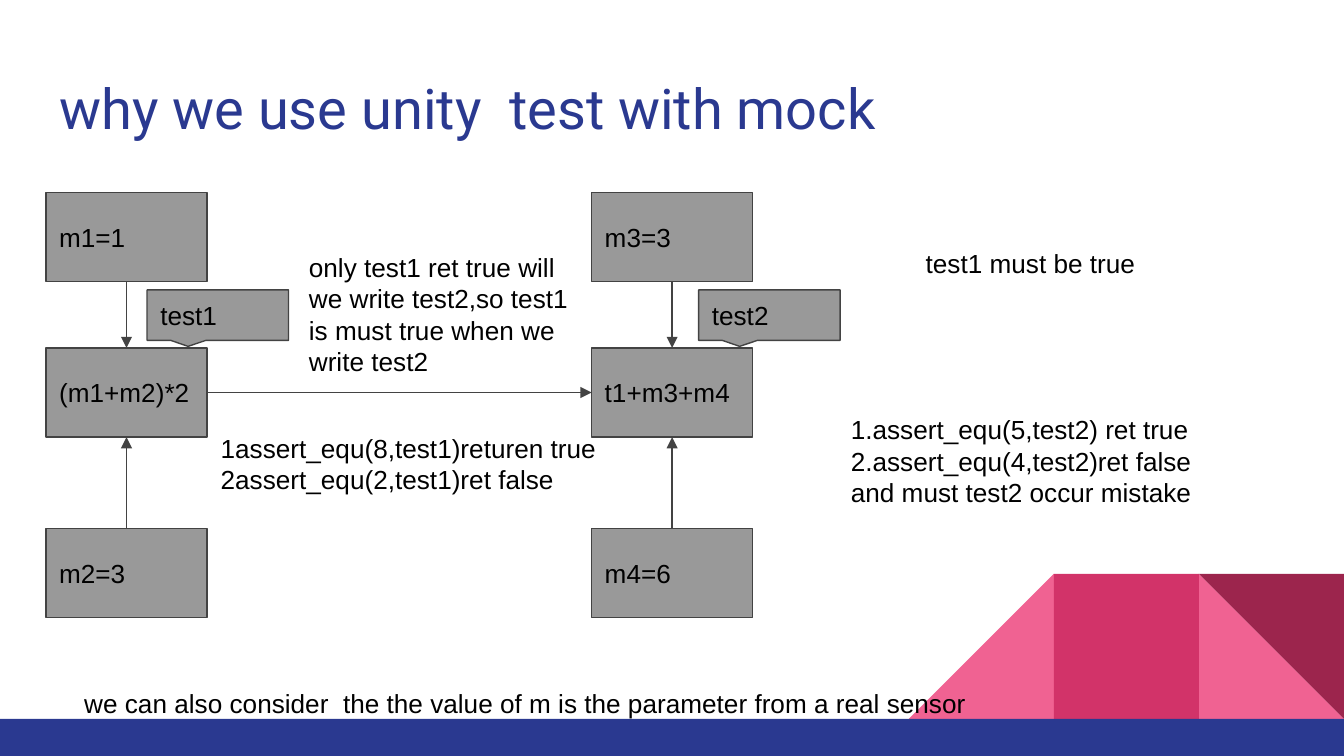
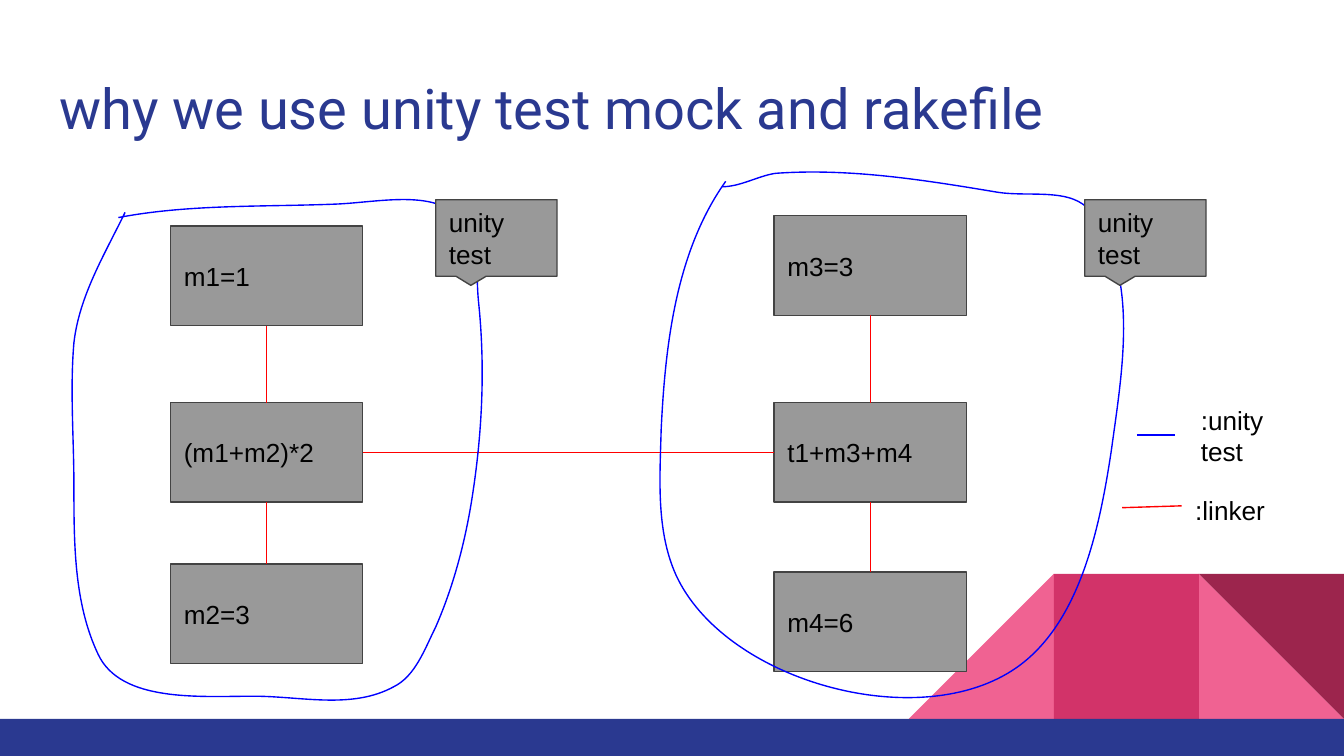
import lxml.etree
import pptx
import pptx.dml.color
import pptx.enum.shapes
import pptx.enum.text
import pptx.oxml.ns
import pptx.util

Pt = pptx.util.Pt
qn = pptx.oxml.ns.qn
SHAPE = pptx.enum.shapes.MSO_SHAPE
ANCHOR = pptx.enum.text.MSO_ANCHOR
RGB = pptx.dml.color.RGBColor.from_string
COLORS = {
    "navy": "2A3990", "pink": "F06292", "rose": "D23369", "wine": "9C254D",
    "box": "999999", "outline": "434343", "text": "000000",
    "linker": "FF0000", "unity": "0000FF",
}
LINE_WIDTH = 0.75


def add_text(s, text, x, y, w, h, kind=None, fill=None, line=None, rotation=0,
             adjustments=(), size=14, font="Arial", color="text"):
    """Add a text box, or a preset shape when a kind is given."""
    box = [Pt(v) for v in (x, y, w, h)]
    if kind is None:
        sp = s.shapes.add_textbox(*box)
    else:
        sp = s.shapes.add_shape(kind, *box)
        sp.shadow.inherit = False
        sp.rotation = rotation
        for i, value in enumerate(adjustments):
            sp.adjustments[i] = value
        sp.fill.solid()
        sp.fill.fore_color.rgb = RGB(COLORS[fill])
        if line:
            sp.line.color.rgb = RGB(COLORS[line])
            sp.line.width = Pt(LINE_WIDTH)
        else:
            sp.line.fill.background()
    tf = sp.text_frame
    tf.word_wrap = True
    tf.vertical_anchor = ANCHOR.TOP if kind is None else ANCHOR.MIDDLE
    tf.margin_left = tf.margin_right = tf.margin_top = tf.margin_bottom = Pt(7.2)
    for i, words in enumerate(text.split("\n") if text else []):
        p = tf.paragraphs[0] if i == 0 else tf.add_paragraph()
        p.alignment = pptx.enum.text.PP_ALIGN.LEFT
        r = p.add_run()
        r.text = words
        r.font.size = Pt(size)
        r.font.name = font
        r.font.color.rgb = RGB(COLORS[color])


def add_line(s, x1, y1, x2, y2, color, arrow=False):
    cn = s.shapes.add_connector(pptx.enum.shapes.MSO_CONNECTOR.STRAIGHT,
                                Pt(x1), Pt(y1), Pt(x2), Pt(y2))
    cn.line.color.rgb = RGB(COLORS[color])
    cn.line.width = Pt(LINE_WIDTH)
    if arrow:
        lxml.etree.SubElement(cn.line._get_or_add_ln(), qn("a:tailEnd"), type="triangle")
    lxml.etree.SubElement(cn.element.spPr, qn("a:effectLst"))


prs = pptx.Presentation()
prs.slide_width, prs.slide_height = Pt(720), Pt(405)

# Shared decoration and title
TILE, BAND_TOP = 77.7, 385.1
tiles = [  # kind, colour, rotation, tiles from the right edge
    (SHAPE.RIGHT_TRIANGLE, "pink", 0, 1),
    (SHAPE.RIGHT_TRIANGLE, "pink", 270, 3),
    (SHAPE.RECTANGLE, "rose", 0, 2),
    (SHAPE.RIGHT_TRIANGLE, "wine", 180, 1),
]
for title in ("why we use unity  test with mock",
              "why we use unity test mock and rakefile"):
    s = prs.slides.add_slide(prs.slide_layouts[6])
    for kind, fill, rotation, place in tiles:
        add_text(s, "", 720 - place * TILE, BAND_TOP - TILE, TILE, TILE,
                 kind=kind, fill=fill, rotation=rotation)
    add_text(s, "", 0, BAND_TOP, 720, 405 - BAND_TOP,
             kind=SHAPE.RECTANGLE, fill="navy")
    add_text(s, title, 24.7, 32.4, 671, 47.5, size=30, font="Roboto", color="navy")

mock_slide, rakefile_slide = prs.slides
names = [("m1=1", "(m1+m2)*2", "m2=3"), ("m3=3", "t1+m3+m4", "m4=6")]
boxed = {"fill": "box", "line": "outline"}

# Mock slide: two columns of boxes, inputs pointing at the middle box
s = mock_slide
w, h = 86.4, 47.8
lefts, tops = (24.6, 316.9), (103.2, 186.4, 283.1)
for x, column in zip(lefts, names):
    for y, name in zip(tops, column):
        add_text(s, name, x, y, w, h, kind=SHAPE.RECTANGLE, **boxed)
    add_line(s, x + w / 2, tops[0] + h, x + w / 2, tops[1], "outline", arrow=True)
    add_line(s, x + w / 2, tops[2], x + w / 2, tops[1] + h, "outline", arrow=True)
add_line(s, lefts[0] + w, tops[1] + h / 2, lefts[1], tops[1] + h / 2,
         "outline", arrow=True)

for name, x in (("test1", 78.8), ("test2", 374.3)):
    add_text(s, name, x, 155.3, 75.8, 27, kind=SHAPE.RECTANGULAR_CALLOUT,
             adjustments=(-0.21, 0.62), **boxed)

# Mock slide: remarks
remarks = [
    ("we can also consider  the the value of m is the parameter from a real sensor",
     38, 361.2, 533.5, 23),
    ("1assert_equ(8,test1)returen true\n2assert_equ(2,test1)ret false",
     111.1, 224.4, 226.8, 59),
    ("1.assert_equ(5,test2) ret true\n2.assert_equ(4,test2)ret false\n"
     "and must test2 occur mistake", 448.7, 214.5, 237, 47.5),
    ("only test1 ret true will we write test2,so test1 is must true "
     "when we write test2", 158.4, 127.4, 154, 59),
    ("test1 must be true", 488.8, 125.4, 161.3, 49),
]
for text, *box in remarks:
    add_text(s, text, *box)

# Rakefile slide: two columns of linked boxes
s = rakefile_slide
w, h = 103, 53.4
lefts, middle = (91.4, 414.7), 215.7
for x, column, ends in zip(lefts, names, ((121, 302.1), (115.6, 306.4))):
    tops = (ends[0], middle, ends[1])
    for y, name in zip(tops, column):
        add_text(s, name, x, y, w, h, kind=SHAPE.RECTANGLE, **boxed)
    for upper, lower in zip(tops, tops[1:]):
        add_line(s, x + w / 2, upper + h, x + w / 2, lower, "linker")
add_line(s, lefts[0] + w, middle + h / 2, lefts[1], middle + h / 2, "linker")

# Rakefile slide: hand-drawn loops, as a start and Bezier triples
loops = [
    [(63.4, 116.6),
     (100.8, 109.4), (140.4, 110.9), (178.6, 109.4),
     (202.3, 108.7), (235.4, 100.1), (248.4, 119.5),
     (257, 131), (254.9, 146.9), (256.3, 161.3),
     (259.9, 195.1), (258.5, 229.7), (253.4, 263.5),
     (249.8, 288), (243.4, 313.2), (233.3, 336.2),
     (227.5, 347.8), (222.5, 362.2), (211, 367.9),
     (188.6, 380.2), (161.3, 373), (136.1, 373),
     (107.3, 373), (64.8, 376.6), (52.6, 350.6),
     (39.6, 323.3), (39.6, 290.9), (39.6, 260.6),
     (39.6, 234.7), (37.4, 208.8), (39.6, 183.6),
     (42.5, 158.4), (56.2, 136.1), (67, 113.8)],
    [(388.8, 97.2),
     (362.2, 134.6), (356.4, 184.3), (354.2, 230.4),
     (353.5, 256.3), (351.4, 284.4), (362.2, 308.2),
     (388.1, 364.3), (489.6, 393.1), (542.2, 359.3),
     (578.2, 336.2), (589, 283.7), (595.4, 241.2),
     (601.2, 198.7), (610.6, 147.6), (584.6, 113.8),
     (574.6, 100.1), (551.5, 105.8), (534.2, 103),
     (495.4, 96.5), (455, 90), (415.4, 92.9),
     (406.1, 94.3), (396.7, 100.1), (386.6, 100.1)],
]
UNITS = 10  # freeform units per point
for loop in loops:
    units = [(round(x * UNITS), round(y * UNITS)) for x, y in loop]
    ends = units[::3]
    builder = s.shapes.build_freeform(*ends[0], scale=Pt(1) / UNITS)
    builder.add_line_segments(ends[1:], close=False)
    sp = builder.convert_to_shape()
    sp.shadow.inherit = False
    sp.fill.background()
    sp.line.color.rgb = RGB(COLORS["unity"])
    sp.line.width = Pt(LINE_WIDTH)
    # Bend each straight segment with its two control points
    left, top = (min(values) for values in zip(*ends))
    for i, segment in enumerate(list(sp.element.iter(qn("a:lnTo")))):
        segment.tag = qn("a:cubicBezTo")
        for place, (x, y) in enumerate(units[3 * i + 1:3 * i + 3]):
            pt = segment.makeelement(qn("a:pt"), {"x": str(x - left), "y": str(y - top)})
            segment.insert(place, pt)

for x in (233.4, 581.1):
    add_text(s, "unity test", x, 107, 65, 41, kind=SHAPE.ROUNDED_RECTANGULAR_CALLOUT,
             adjustments=(-0.21, 0.62, 0), **boxed)

# Rakefile slide: legend
add_line(s, 609.1, 233, 629.3, 233, "unity")
add_text(s, ":unity test", 636.2, 209.5, 55.4, 33)
add_line(s, 601.2, 272, 633, 271, "linker")
add_text(s, ":linker", 633.2, 257.4, 55.4, 27.4)

prs.save("out.pptx")
